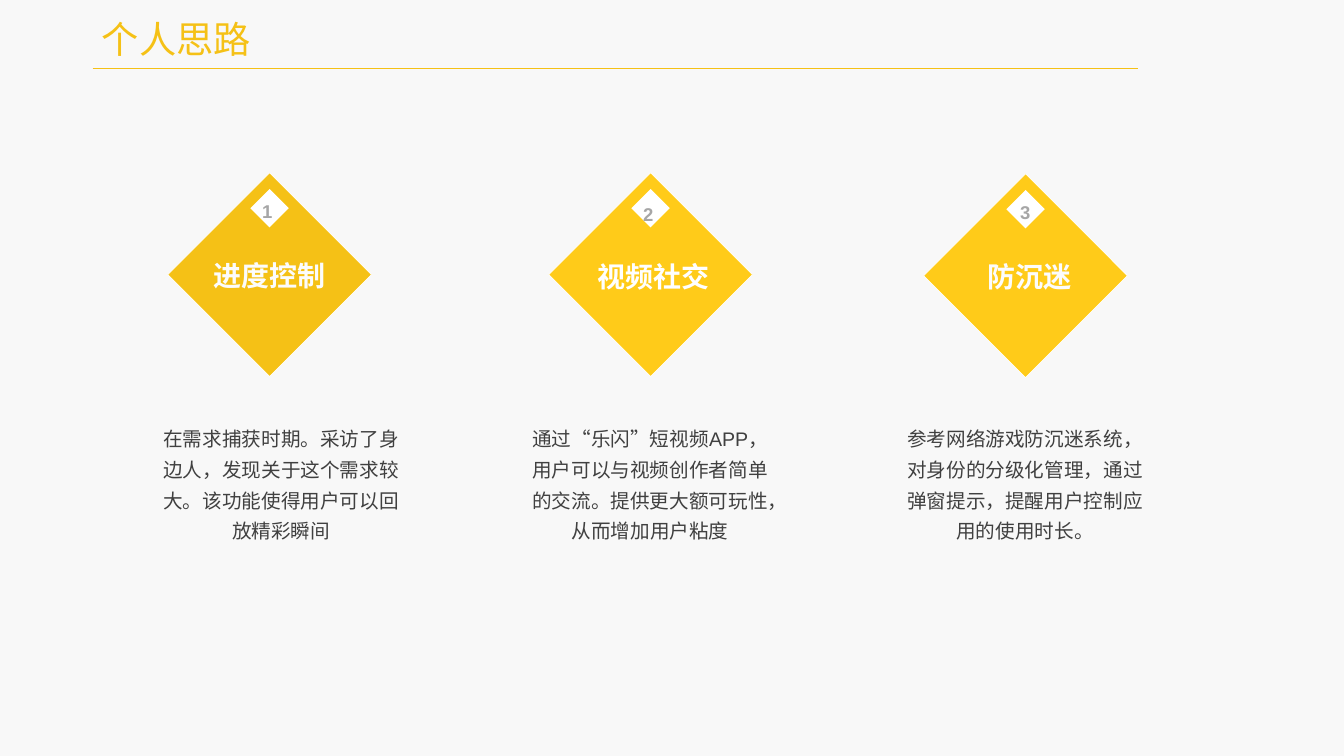
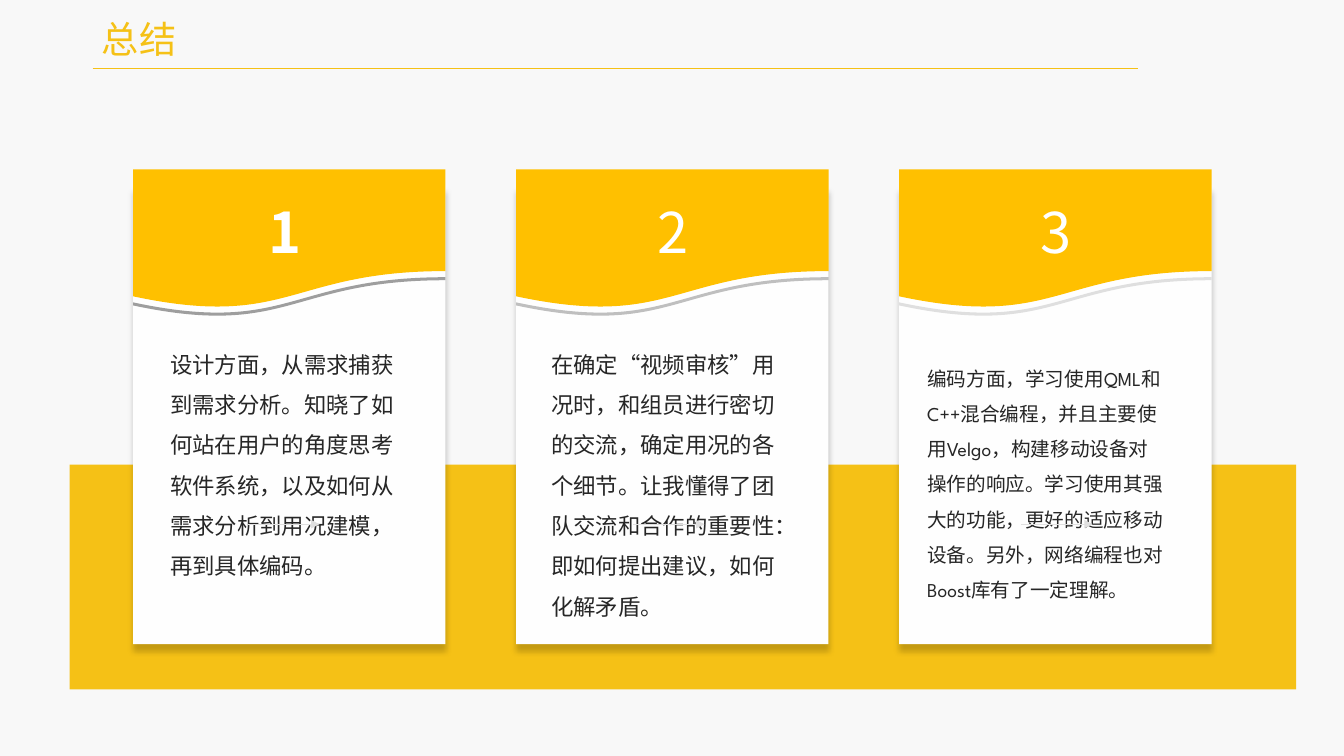
from dataclasses import dataclass

from lxml.etree import SubElement
from pptx import Presentation
from pptx.dml.color import RGBColor
from pptx.enum.shapes import MSO_CONNECTOR, MSO_SHAPE
from pptx.enum.text import MSO_ANCHOR, MSO_AUTO_SIZE, PP_ALIGN
from pptx.oxml.ns import qn
from pptx.presentation import Presentation as Deck
from pptx.shapes.autoshape import Shape
from pptx.shapes.connector import Connector
from pptx.slide import Slide
from pptx.text.text import TextFrame
from pptx.util import Inches, Pt

GOLD = "F5C116"
BRIGHT_GOLD = "FFCB19"
AMBER = "FFC000"
PAGE = "F8F8F8"
WHITE = "FFFFFF"
OFF_WHITE = "FCFCFC"
PALE_GREY = "DFDFDF"

DIAMOND_SIDE = 1.43
BADGE_SIDE = 0.27
CARD_WIDTH = 3.1
CARD_PITCH = 3.8
FIRST_CARD_LEFT = 1.32

Point = tuple[float, float]


@dataclass(frozen=True)
class TextStyle:
    font: str
    size: float
    color: str
    bold: bool = False
    align: PP_ALIGN = PP_ALIGN.LEFT
    spacing: float = 1.0


@dataclass(frozen=True)
class Idea:
    heading: str
    body: str
    fill: str
    heading_color: str
    left: float
    top: float
    body_left: float
    number_left: float
    number_top: float
    heading_left: float
    heading_top: float
    heading_width: float


@dataclass(frozen=True)
class Card:
    body: str
    ribbon: str
    number_bold: bool
    number_left: float
    body_left: float
    body_top: float
    body_size: float
    arrow_left: float


TITLE = TextStyle("Arial", 26.6, GOLD, spacing=0.9)
IDEA_BODY = TextStyle("Arial", 14, "404040", align=PP_ALIGN.CENTER, spacing=1.3)
BADGE = TextStyle("Arial", 13.2, "A6A6A6", True, PP_ALIGN.CENTER, 1.2)

IDEAS = [
    Idea("进度控制", "在需求捕获时期。采访了身边人，发现关于这个需求较大。该功能使得用户可以回放精彩瞬间",
         GOLD, OFF_WHITE, 1.96, 2.01, 1.54, 2.6, 1.95, 1.88, 2.5, 1.59),
    Idea("视频社交", "通过“乐闪”短视频APP，用户可以与视频创作者简单的交流。提供更大额可玩性，从而增加用户粘度",
         BRIGHT_GOLD, WHITE, 5.74, 2.01, 5.2, 6.38, 1.98, 5.67, 2.51, 1.63),
    Idea("防沉迷", "参考网络游戏防沉迷系统，对身份的分级化管理，通过弹窗提示，提醒用户控制应用的使用时长。",
         BRIGHT_GOLD, OFF_WHITE, 9.46, 2.02, 8.92, 10.12, 1.96, 9.69, 2.51, 1.05),
]

CARDS = [
    Card("设计方面，从需求捕获到需求分析。知晓了如何站在用户的角度思考软件系统，以及如何从需求分析到用况建模，再到具体编码。",
         "9E9E9E", True, 2.57, 1.59, 3.3, 16, 2.46),
    Card("在确定“视频审核”用况时，和组员进行密切的交流，确定用况的各个细节。让我懂得了团队交流和合作的重要性：即如何提出建议，如何化解矛盾。",
         "BFBFBF", False, 6.42, 5.37, 3.3, 16, 6.28),
    Card("编码方面，学习使用QML和C++混合编程，并且主要使用Velgo，构建移动设备对操作的响应。学习使用其强大的功能，更好的适应移动设备。另外，网络编程也对Boost库有了一定理解。",
         PALE_GREY, False, 10.22, 9.1, 3.47, 14, 10.13),
]


def rgb(color: str) -> RGBColor:
    return RGBColor.from_string(color)


def write(frame: TextFrame, text: str, style: TextStyle) -> None:
    frame.text = text
    paragraph = frame.paragraphs[0]
    paragraph.alignment = style.align
    paragraph.line_spacing = style.spacing
    font = paragraph.font
    font.name = style.font
    font.size = Pt(style.size)
    font.bold = style.bold
    font.color.rgb = rgb(style.color)


def set_margins(frame: TextFrame, horizontal: float, vertical: float) -> None:
    frame.margin_left = frame.margin_right = Inches(horizontal)
    frame.margin_top = frame.margin_bottom = Inches(vertical)


def add_text(slide: Slide, text: str, left: float, top: float, width: float, height: float,
             style: TextStyle, wrap: bool = True) -> TextFrame:
    box = slide.shapes.add_textbox(Inches(left), Inches(top), Inches(width), Inches(height))
    frame = box.text_frame
    frame.word_wrap = wrap
    frame.auto_size = MSO_AUTO_SIZE.SHAPE_TO_FIT_TEXT
    write(frame, text, style)
    return frame


def paint(shape: Shape, fill: str) -> None:
    shape.shadow.inherit = False
    shape.fill.solid()
    shape.fill.fore_color.rgb = rgb(fill)
    shape.line.fill.background()


def add_rectangle(slide: Slide, left: float, top: float, width: float, height: float,
                  fill: str) -> Shape:
    rectangle = slide.shapes.add_shape(
        MSO_SHAPE.RECTANGLE, Inches(left), Inches(top), Inches(width), Inches(height))
    paint(rectangle, fill)
    return rectangle


def add_diamond(slide: Slide, left: float, top: float, side: float, fill: str) -> Shape:
    diamond = add_rectangle(slide, left, top, side, side, fill)
    diamond.rotation = 315
    return diamond


def add_curved_outline(slide: Slide, points: list[Point], curve_starts: list[int],
                       height: float, fill: str) -> None:
    start, *rest = [(Inches(x), Inches(y)) for x, y in points]
    builder = slide.shapes.build_freeform(*start)
    builder.add_line_segments(rest, close=True)
    shape = builder.convert_to_shape()
    outline = shape.element.spPr.find(".//" + qn("a:path"))
    segments = outline.findall(qn("a:lnTo"))
    for first in curve_starts:
        curve = SubElement(outline, qn("a:cubicBezTo"))
        segments[first].addprevious(curve)
        for segment in segments[first:first + 3]:
            curve.append(segment.find(qn("a:pt")))
            outline.remove(segment)
    outline.set("h", str(Inches(height)))
    shape.height = Inches(height)
    paint(shape, fill)


def add_line(slide: Slide, left: float, right: float, y: float, color: str,
             weight: float) -> Connector:
    line = slide.shapes.add_connector(
        MSO_CONNECTOR.STRAIGHT, Inches(left), Inches(y), Inches(right), Inches(y))
    line.line.color.rgb = rgb(color)
    line.line.width = Pt(weight)
    SubElement(line.element.spPr, qn("a:effectLst"))
    return line


def add_arrow(slide: Slide, left: float, y: float) -> None:
    arrow = add_line(slide, left, left + 0.71, y, PALE_GREY, 0.5)
    SubElement(arrow.element.spPr.find(qn("a:ln")), qn("a:tailEnd"), type="triangle")


def cast_shadow(shape: Shape) -> None:
    effects = shape.element.spPr.find(qn("a:effectLst"))
    shadow = SubElement(effects, qn("a:outerShdw"), blurRad=str(Pt(4)), dist=str(Pt(5)),
                        dir="5400000", algn="t", rotWithShape="0")
    black = SubElement(shadow, qn("a:srgbClr"), val="000000")
    SubElement(black, qn("a:alpha"), val="20000")


def wave(left: float, drop: float) -> list[Point]:
    right, middle = left + CARD_WIDTH, left + CARD_WIDTH / 2
    return [(right, 2.69 + drop), (middle, 2.69 + drop),
            (middle, 3.27 + drop), (left, 2.94 + drop)]


def set_up_master(deck: Deck, slide: Slide) -> None:
    background = deck.slide_master.background.fill
    background.solid()
    background.fore_color.rgb = rgb(PAGE)
    rule = add_line(slide, 0.92, 11.29, 0.68, GOLD, 1.25).element
    rule.nvCxnSpPr.cNvPr.set("id", "20")
    deck.slide_master.shapes.element.append(rule)


def add_titled_slide(deck: Deck, heading: str) -> Slide:
    slide = deck.slides.add_slide(deck.slide_layouts[5])
    title = slide.shapes.title
    title.left, title.top = Inches(0.94), Inches(0.23)
    title.width, title.height = Inches(3.93), Inches(0.37)
    frame = title.text_frame
    frame.auto_size = MSO_AUTO_SIZE.NONE
    frame.vertical_anchor = MSO_ANCHOR.MIDDLE
    set_margins(frame, 0.07, 0.04)
    write(frame, heading, TITLE)
    return slide


def add_idea(slide: Slide, number: int, idea: Idea) -> None:
    body = add_text(slide, idea.body, idea.body_left, 4.17, 2.5, 1.22, IDEA_BODY)
    diamond = add_diamond(slide, idea.left, idea.top, DIAMOND_SIDE, idea.fill)
    diamond.line.color.rgb = rgb(WHITE)
    diamond.line.width = Pt(0.5)
    add_diamond(slide, idea.left + 0.58, idea.top - 0.08, BADGE_SIDE, WHITE)
    badge = add_text(slide, str(number), idea.number_left, idea.number_top, 0.1, 0.24,
                     BADGE, False)
    badge.vertical_anchor = MSO_ANCHOR.MIDDLE
    heading_style = TextStyle("Arial", 20, idea.heading_color, True, PP_ALIGN.CENTER, 1.2)
    heading = add_text(slide, idea.heading, idea.heading_left, idea.heading_top,
                       idea.heading_width, 0.4, heading_style)
    for frame in (body, badge, heading):
        set_margins(frame, 0, 0)


def add_card(slide: Slide, index: int, card: Card) -> None:
    left = FIRST_CARD_LEFT + index * CARD_PITCH
    cast_shadow(add_rectangle(slide, left, 1.84, CARD_WIDTH, 4.55, "FEFEFE"))
    header = [(left, 1.68), (left + CARD_WIDTH, 1.68), *wave(left, 0)]
    add_curved_outline(slide, header, [2], 1.36, AMBER)
    upper_edge, lower_edge = wave(left, 0.06), wave(left, 0.09)
    ribbon = [upper_edge[0], *lower_edge, *upper_edge[::-1]]
    add_curved_outline(slide, ribbon, [1, 5], 0.38, card.ribbon)
    number_style = TextStyle("Noto Sans CJK SC", 40, WHITE, card.number_bold, PP_ALIGN.CENTER)
    add_text(slide, str(index + 1), card.number_left, 1.91, 0.5, 0.77, number_style, False)
    body_style = TextStyle("League Spartan", card.body_size, "262626", spacing=1.5)
    add_text(slide, card.body, card.body_left, card.body_top, 2.58, 2.57, body_style)
    add_arrow(slide, card.arrow_left, 5.2)


def main() -> None:
    deck = Presentation()
    deck.slide_width, deck.slide_height = Inches(40 / 3), Inches(7.5)

    ideas_slide = add_titled_slide(deck, "个人思路")
    set_up_master(deck, ideas_slide)
    for number, idea in enumerate(IDEAS, start=1):
        add_idea(ideas_slide, number, idea)

    summary_slide = add_titled_slide(deck, "总结")
    add_rectangle(summary_slide, 0.69, 4.61, 12.17, 2.23, GOLD)
    for index, card in enumerate(CARDS):
        add_card(summary_slide, index, card)

    deck.save("out.pptx")


if __name__ == "__main__":
    main()
